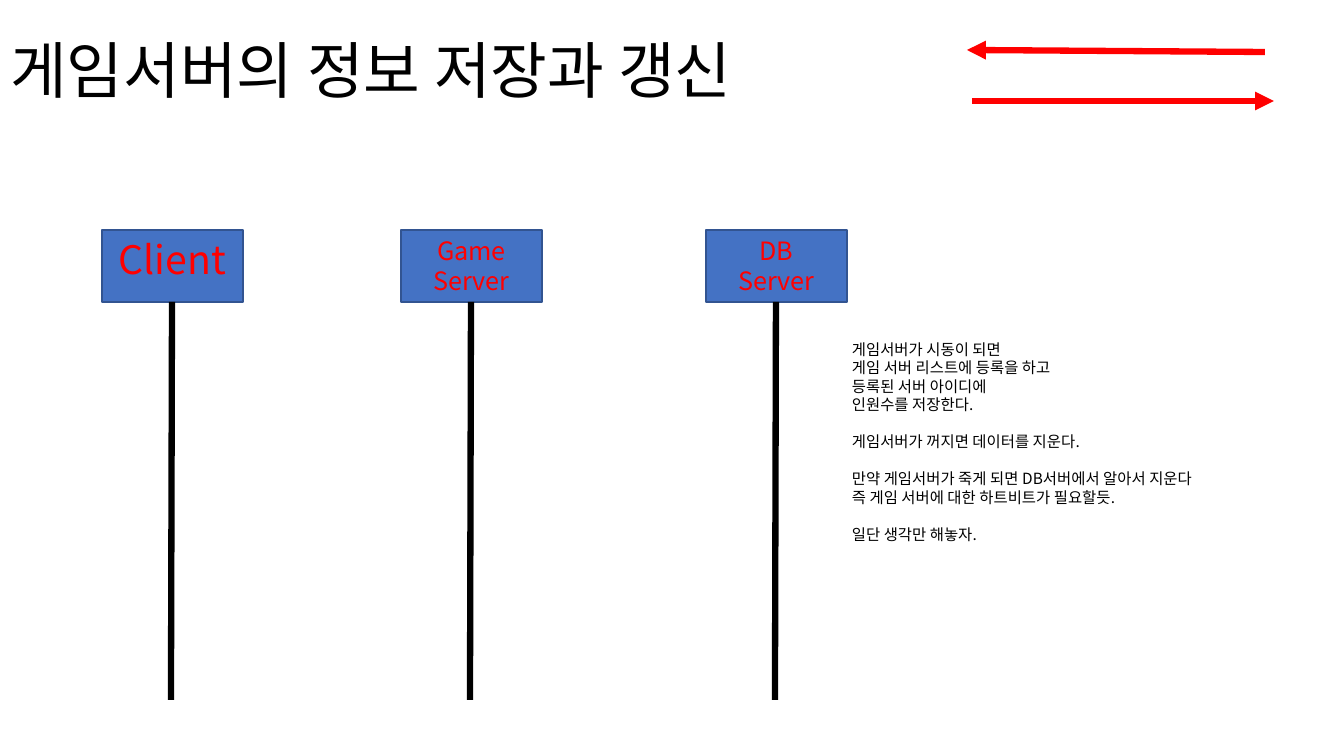
import pptx
import pptx.util
import pptx.dml.color
import pptx.enum.dml
import pptx.enum.shapes
import pptx.enum.text
import pptx.oxml
import pptx.oxml.ns
from dataclasses import dataclass

PX = 914400 / 100.8


@dataclass(frozen=True)
class Theme:
    font: str = "Noto Sans CJK KR"
    ink: str = "000000"
    accent: str = "FF0000"
    box_fill: str = "4472C4"
    box_line: str = "325491"
    title_size: int = 44
    client_size: int = 28
    server_size: int = 18
    note_size: int = 11
    stroke: float = 4.5
    leading: float = 1.2


THEME = Theme()
ALIGN = pptx.enum.text.PP_ALIGN
ANCHOR = pptx.enum.text.MSO_ANCHOR

TITLE = "게임서버의 정보 저장과 갱신"
ACTORS = [
    (102, ["Client"], THEME.client_size),
    (401, ["Game", "Server"], THEME.server_size),
    (706, ["DB", "Server"], THEME.server_size),
]
NOTE_GROUPS = [
    ["게임서버가 시동이 되면", "게임 서버 리스트에 등록을 하고",
     "등록된 서버 아이디에", "인원수를 저장한다."],
    ["게임서버가 꺼지면 데이터를 지운다."],
    ["만약 게임서버가 죽게 되면 DB서버에서 알아서 지운다",
     "즉 게임 서버에 대한 하트비트가 필요할듯."],
    ["일단 생각만 해놓자."],
]


def px(*lengths):
    return [pptx.util.Emu(round(length * PX)) for length in lengths]


def rgb(color):
    return pptx.dml.color.RGBColor.from_string(color)


def apply(target, formats):
    for name, value in formats.items():
        setattr(target, name, value)


def write(paragraph, text, size, color, **formats):
    run = paragraph.add_run()
    run.text = text
    apply(run.font, {"name": THEME.font, "size": pptx.util.Pt(size)})
    run.font.color.rgb = rgb(color)
    east_asian = pptx.oxml.parse_xml(
        f'<a:ea {pptx.oxml.ns.nsdecls("a")} typeface="{THEME.font}"/>')
    run.font._element.find(pptx.oxml.ns.qn("a:latin")).addnext(east_asian)
    apply(paragraph, formats)


def write_lines(frame, lines, size, color, gaps=(), **formats):
    """Fill a frame, leaving one empty line's space before each index in gaps."""
    leading = pptx.util.Pt(round(size * THEME.leading, 1))
    for index, line in enumerate(lines):
        paragraph = frame.add_paragraph() if index else frame.paragraphs[0]
        write(paragraph, line, size, color, line_spacing=leading, **formats)
        if index in gaps:
            paragraph.space_before = leading


def add_line(slide, start, end, color, arrow=False):
    line = slide.shapes.add_connector(
        pptx.enum.shapes.MSO_CONNECTOR.STRAIGHT, *px(*start, *end))
    line.line.color.rgb = rgb(color)
    line.line.width = pptx.util.Pt(THEME.stroke)
    if arrow:
        line.line._get_or_add_ln().append(pptx.oxml.parse_xml(
            f'<a:tailEnd {pptx.oxml.ns.nsdecls("a")} type="triangle"/>'))
    line._element.spPr.append(pptx.oxml.parse_xml(
        f'<a:effectLst {pptx.oxml.ns.nsdecls("a")}/>'))


def add_title(slide, left, top, width, height):
    title = slide.shapes.title
    apply(title, dict(zip(("left", "top", "width", "height"),
                          px(left, top, width, height))))
    apply(title.text_frame, {"vertical_anchor": ANCHOR.MIDDLE, "word_wrap": True})
    write(title.text_frame.paragraphs[0], TITLE, THEME.title_size, THEME.ink,
          alignment=ALIGN.LEFT, line_spacing=0.9)


def add_actor(slide, left, top, width, height, label, size):
    """Draw a participant's box with its lifeline hanging below."""
    box = slide.shapes.add_shape(pptx.enum.shapes.MSO_SHAPE.RECTANGLE,
                                 *px(left, top, width, height))
    box.shadow.inherit = False
    box.fill.solid()
    box.fill.fore_color.rgb = rgb(THEME.box_fill)
    box.line.color.rgb = rgb(THEME.box_line)
    box.line.width = pptx.util.Pt(1)
    apply(box.text_frame, {"vertical_anchor": ANCHOR.TOP, "word_wrap": True})
    write_lines(box.text_frame, label, size, THEME.accent, alignment=ALIGN.CENTER)
    center, bottom = left + width // 2, top + height
    add_line(slide, (center, bottom), (center - 1, bottom + 398), THEME.ink)


def add_notes(slide, left, top, width, height):
    frame = slide.shapes.add_textbox(*px(left, top, width, height)).text_frame
    apply(frame, {"word_wrap": False,
                  "auto_size": pptx.enum.text.MSO_AUTO_SIZE.SHAPE_TO_FIT_TEXT})
    lines, gaps = [], set()
    for group in NOTE_GROUPS:
        gaps.add(len(lines))
        lines += group
    write_lines(frame, lines, THEME.note_size, THEME.ink, gaps - {0},
                alignment=ALIGN.LEFT)


def add_message_arrows(slide, left, top, width, height):
    right, bottom = left + width, top + height
    add_line(slide, (right - 9, top + 2), (left, top), THEME.accent, arrow=True)
    add_line(slide, (left + 5, bottom), (right, bottom), THEME.accent, arrow=True)


def main():
    deck = pptx.Presentation()
    deck.slide_width, deck.slide_height = px(1344, 756)
    slide = deck.slides.add_slide(deck.slide_layouts.get_by_name("Title Only"))
    add_title(slide, 0, 1, 1159, 146)
    for left, label, size in ACTORS:
        add_actor(slide, left, 230, 141, 72, label, size)
    add_notes(slide, 842, 335, 400, 216)
    add_message_arrows(slide, 967, 50, 307, 51)
    deck.save("out.pptx")


if __name__ == "__main__":
    main()
